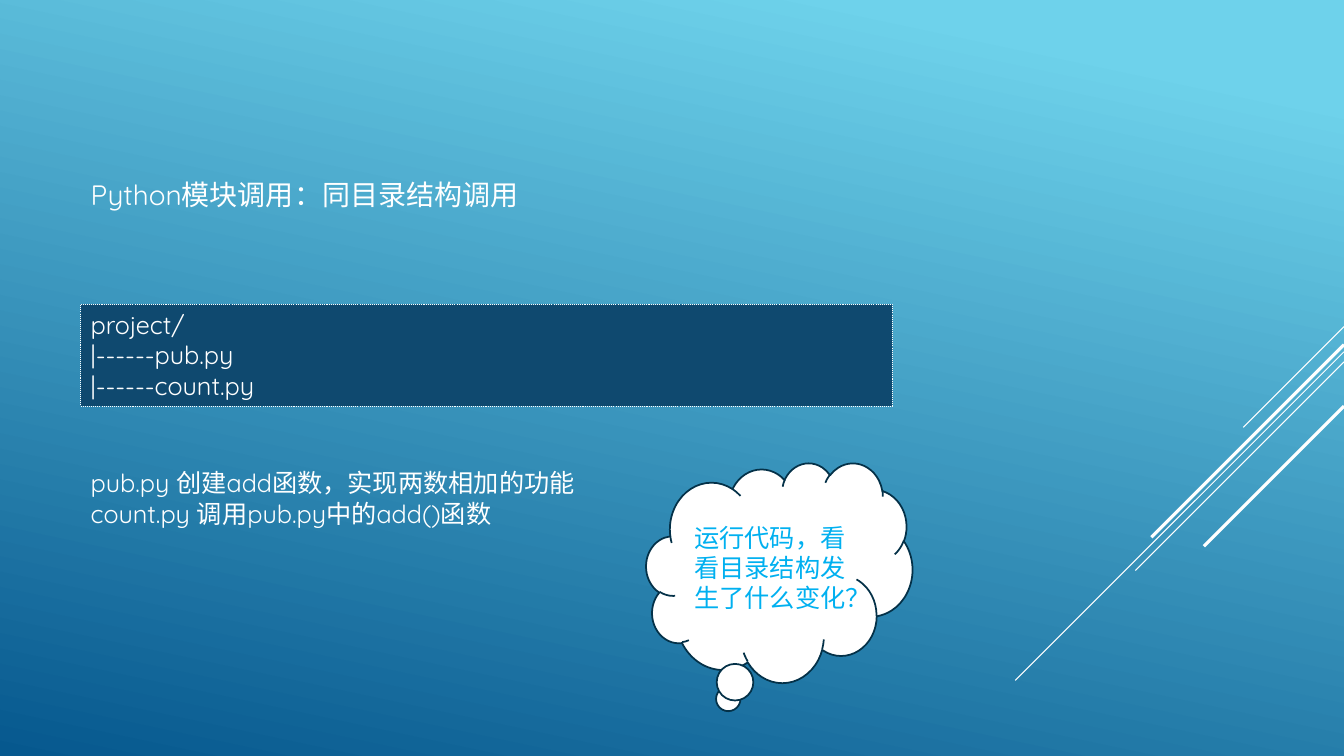
from dataclasses import dataclass

from lxml.etree import SubElement
from pptx import Presentation
from pptx.dml.color import RGBColor
from pptx.enum.dml import MSO_LINE
from pptx.enum.shapes import MSO_CONNECTOR, MSO_SHAPE
from pptx.enum.text import MSO_ANCHOR, MSO_AUTO_SIZE, PP_ALIGN
from pptx.oxml.ns import qn
from pptx.util import Inches, Pt


@dataclass(frozen=True)
class Theme:
    """Colours, font and type sizes of the slide."""
    sky: RGBColor = RGBColor.from_string("6ED2EB")
    sea: RGBColor = RGBColor.from_string("06588E")
    white: RGBColor = RGBColor.from_string("FFFFFF")
    panel: RGBColor = RGBColor.from_string("0F496F")
    outline: RGBColor = RGBColor.from_string("043148")
    accent: RGBColor = RGBColor.from_string("00B0F0")
    font: str = "Quicksand"
    title: int = 20
    body: int = 18


theme = Theme()


def write(sp, lines, size=theme.body, color=theme.white, align=PP_ALIGN.LEFT,
          anchor=MSO_ANCHOR.TOP, grow=False, before=0, after=0):
    """Fill a shape with one paragraph per line."""
    tf = sp.text_frame
    tf.word_wrap = True
    tf.auto_size = MSO_AUTO_SIZE.SHAPE_TO_FIT_TEXT if grow else MSO_AUTO_SIZE.NONE
    tf.vertical_anchor = anchor
    for i, line in enumerate(lines):
        p = tf.paragraphs[0] if i == 0 else tf.add_paragraph()
        p.alignment = align
        p.space_before, p.space_after = Pt(before), Pt(after)
        r = p.add_run()
        r.text = line
        r.font.name, r.font.size = theme.font, Pt(size)
        r.font.color.rgb = color


def add_box(preset, box, fill, line, width):
    """Add a filled, outlined preset shape without a shadow."""
    sp = s.shapes.add_shape(preset, *map(Inches, box))
    sp.shadow.inherit = False
    sp.fill.solid()
    sp.fill.fore_color.rgb = fill
    sp.line.color.rgb = line
    sp.line.width = Pt(width)
    return sp


prs = Presentation()
prs.slide_width, prs.slide_height = Inches(13.33), Inches(7.5)
s = prs.slides.add_slide(prs.slide_layouts[6])

# Background gradient
fill = s.background.fill
fill.gradient()
fill.gradient_angle = 258
for stop, color, position in zip(fill.gradient_stops,
                                 (theme.sky, theme.sea), (0.1, 1)):
    stop.color.rgb = color
    stop.position = position

# Diagonal lines, all at 45 degrees from the right edge
right = 13.33
for top, run, width in ((3.24, 1, 0.75), (3.49, 3.26, 0.75), (3.59, 2.07, 0.75),
                        (3.42, 1.91, 2.25), (4.03, 1.39, 2.25)):
    diagonal = s.shapes.add_connector(
        MSO_CONNECTOR.STRAIGHT, Inches(right), Inches(top),
        Inches(right - run), Inches(top + run))
    diagonal.line.color.rgb = theme.white
    diagonal.line.width = Pt(width)
    SubElement(diagonal._element.spPr, qn("a:effectLst"))

# Title
left = 0.8
title = s.shapes.add_textbox(*map(Inches, (left, 1.65, 9.57, 0.55)))
write(title, ["Python模块调用：同目录结构调用"], size=theme.title,
      anchor=MSO_ANCHOR.MIDDLE, before=4, after=6)

# Directory tree
tree = add_box(MSO_SHAPE.RECTANGLE, (left, 3.02, 8.05, 1.01),
               theme.panel, theme.white, 0.75)
tree.line.dash_style = MSO_LINE.ROUND_DOT
write(tree, ["project/", "|------pub.py", "|------count.py"], grow=True)

# Explanation
steps = s.shapes.add_textbox(*map(Inches, (left, 4.59, 5.69, 0.71)))
write(steps, ["pub.py 创建add函数，实现两数相加的功能",
              "count.py 调用pub.py中的add()函数"], grow=True)

# Question in a thought cloud
cloud = add_box(MSO_SHAPE.CLOUD_CALLOUT, (6.41, 4.59, 2.64, 2.18),
                theme.white, theme.outline, 1.25)
cloud.adjustments[0], cloud.adjustments[1] = -0.2, 0.6
write(cloud, ["运行代码，看看目录结构发生了什么变化？"], color=theme.accent,
      align=PP_ALIGN.CENTER, anchor=MSO_ANCHOR.MIDDLE)

prs.save("out.pptx")
